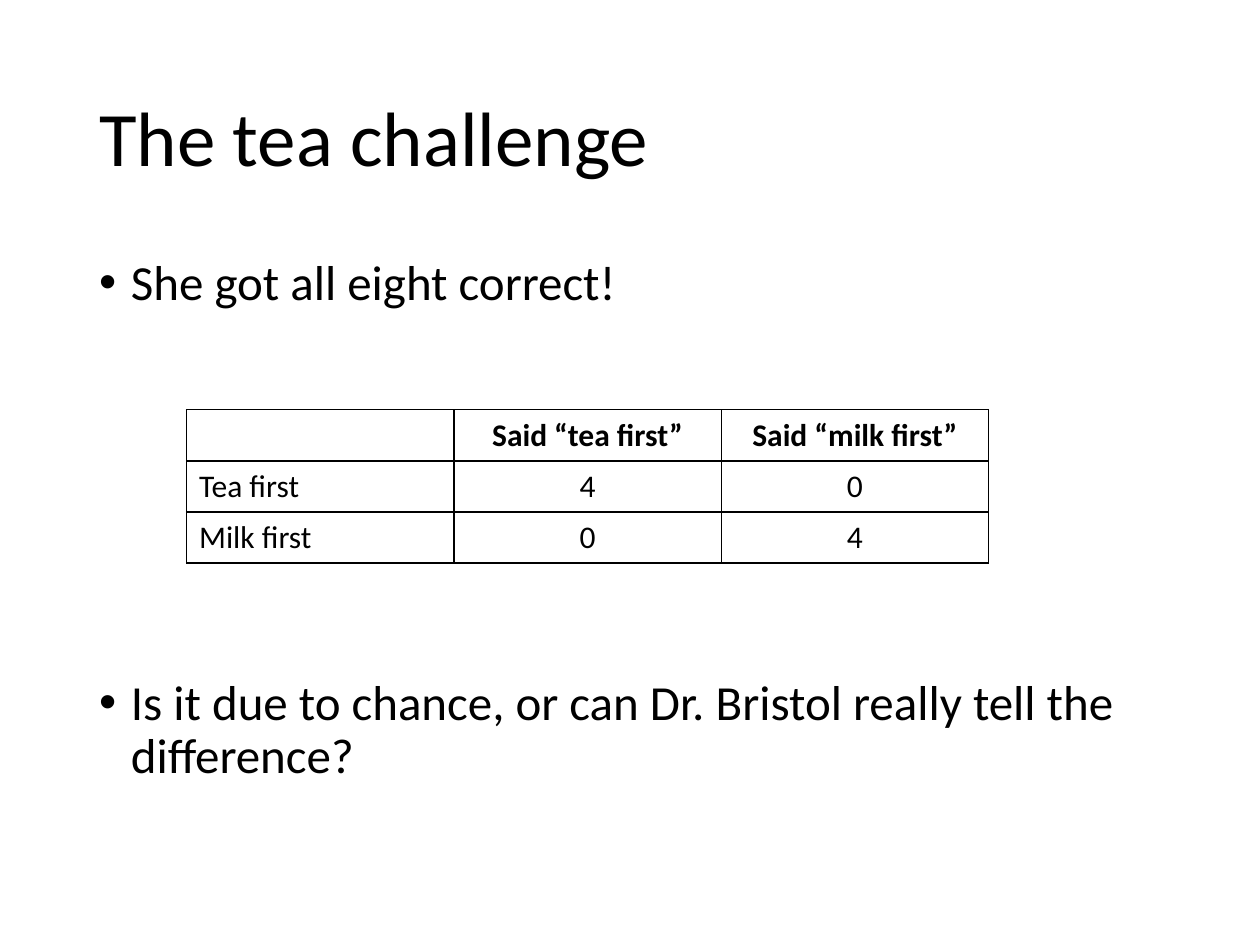
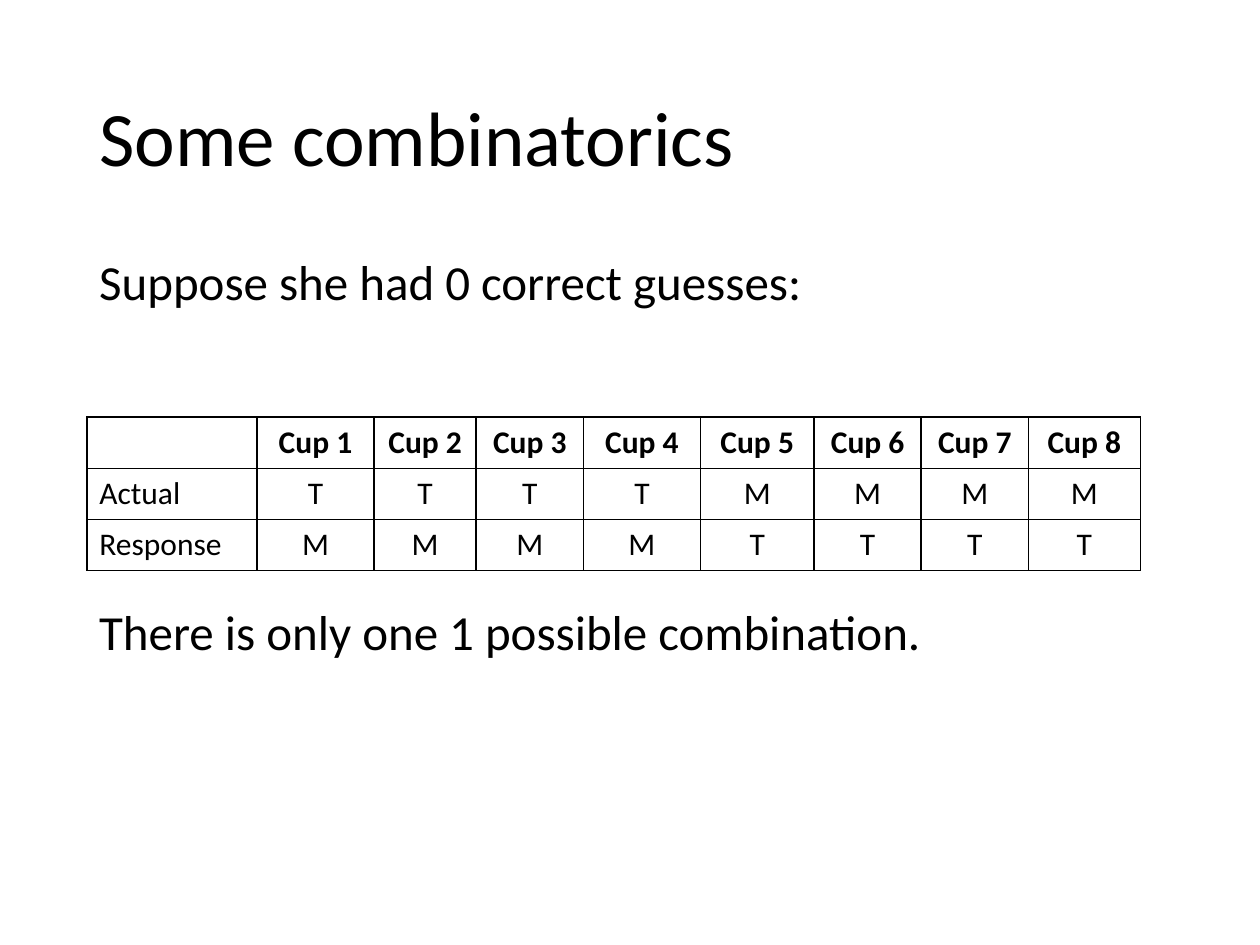
from dataclasses import dataclass

from lxml import etree
from pptx import Presentation
from pptx import util as u
from pptx.dml import color
from pptx.enum import text
from pptx.oxml import ns

# Content: a paragraph is (words, bulleted, lines left free above it)
SLIDES = [
    {
        "title": "The tea challenge",
        "body_width": 21.9,
        "body": [
            ("She got all eight correct!", True, 0),
            ("Is it due to chance, or can Dr. Bristol really tell the difference?", True, 5),
        ],
        "table_at": (3.76, 8.26),
        "columns": [5.39] * 3,
        "rows": [
            ["", "Said “tea first”", "Said “milk first”"],
            ["Tea first", "4", "0"],
            ["Milk first", "0", "4"],
        ],
    },
    {
        "title": "Some combinatorics",
        "body_width": 20.27,
        "body": [
            ("Suppose she had 0 correct guesses:", False, 0),
            ("There is only one 1 possible combination.", False, 4),
        ],
        "table_at": (1.75, 8.41),
        "columns": [3.43, 2.36, 2.06, 2.16, 2.36, 2.29, 2.16, 2.16, 2.26],
        "rows": [
            [""] + [f"Cup {cup}" for cup in range(1, 9)],
            ["Actual"] + ["T"] * 4 + ["M"] * 4,
            ["Response"] + ["M"] * 4 + ["T"] * 4,
        ],
    },
]


@dataclass(frozen=True)
class Theme:
    font: str = "Calibri"
    ink: str = "000000"
    title_size: int = 44
    body_size: int = 28
    table_size: int = 18
    line_spacing: float = 0.9
    space_before: int = 10
    free_line: int = 40
    border: float = 1


THEME = Theme()
LEFT = 1.75
TITLE_BOX = (LEFT, 1.02, 21.9, 3.68)
BODY_TOP, BODY_HEIGHT = 5.08, 12.09
ROW_HEIGHT = 1.03
BULLET_INDENT = u.Cm(0.64)


def style(paragraph, size, bold=False):
    font = paragraph.font
    font.name, font.size, font.bold = THEME.font, u.Pt(size), bold
    font.color.rgb = color.RGBColor.from_string(THEME.ink)


def add_bullet(paragraph):
    properties = paragraph._p.get_or_add_pPr()
    properties.set("marL", str(BULLET_INDENT))
    properties.set("indent", str(-BULLET_INDENT))
    font = etree.Element(ns.qn("a:buFont"), typeface="Arial")
    mark = etree.Element(ns.qn("a:buChar"), char="•")
    # Bullets stand after the spacing and before the default run properties
    properties.find(ns.qn("a:defRPr")).addprevious(font)
    font.addnext(mark)


def add_text(slide, box, paragraphs, size, anchor, space_before=0):
    frame = slide.shapes.add_textbox(*map(u.Cm, box)).text_frame
    frame.word_wrap = True
    frame.vertical_anchor = anchor
    for index, (words, bulleted, free_lines) in enumerate(paragraphs):
        paragraph = frame.add_paragraph() if index else frame.paragraphs[0]
        paragraph.text = words
        paragraph.line_spacing = THEME.line_spacing
        paragraph.space_before = u.Pt(space_before + free_lines * THEME.free_line)
        style(paragraph, size)
        if bulleted:
            add_bullet(paragraph)


def add_borders(cell):
    properties = cell._tc.get_or_add_tcPr()
    for index, side in enumerate(("lnL", "lnR", "lnT", "lnB")):
        line = etree.Element(ns.qn(f"a:{side}"), w=str(u.Pt(THEME.border)))
        fill = etree.SubElement(line, ns.qn("a:solidFill"))
        etree.SubElement(fill, ns.qn("a:srgbClr"), val=THEME.ink)
        properties.insert(index, line)


def add_results(slide, at, columns, rows):
    box = (*at, sum(columns), ROW_HEIGHT * len(rows))
    table = slide.shapes.add_table(len(rows), len(columns), *map(u.Cm, box)).table
    table.first_row = table.horz_banding = False
    for column, width in zip(table.columns, columns):
        column.width = u.Cm(width)
    for r, row in enumerate(rows):
        table.rows[r].height = u.Cm(ROW_HEIGHT)
        for c, words in enumerate(row):
            cell = table.cell(r, c)
            cell.text = words
            cell.fill.background()
            add_borders(cell)
            paragraph = cell.text_frame.paragraphs[0]
            style(paragraph, THEME.table_size, bold=r == 0)
            paragraph.alignment = text.PP_ALIGN.CENTER if c else text.PP_ALIGN.LEFT


def main():
    deck = Presentation()
    deck.slide_width, deck.slide_height = u.Cm(25.4), u.Cm(19.05)
    for content in SLIDES:
        slide = deck.slides.add_slide(deck.slide_layouts[6])
        # Title
        add_text(slide, TITLE_BOX, [(content["title"], False, 0)],
                 THEME.title_size, text.MSO_ANCHOR.MIDDLE)
        # Statements above and below the table
        add_text(slide, (LEFT, BODY_TOP, content["body_width"], BODY_HEIGHT), content["body"],
                 THEME.body_size, text.MSO_ANCHOR.TOP, THEME.space_before)
        # Table of cups and answers
        add_results(slide, content["table_at"], content["columns"], content["rows"])
    deck.save("out.pptx")


if __name__ == "__main__":
    main()
